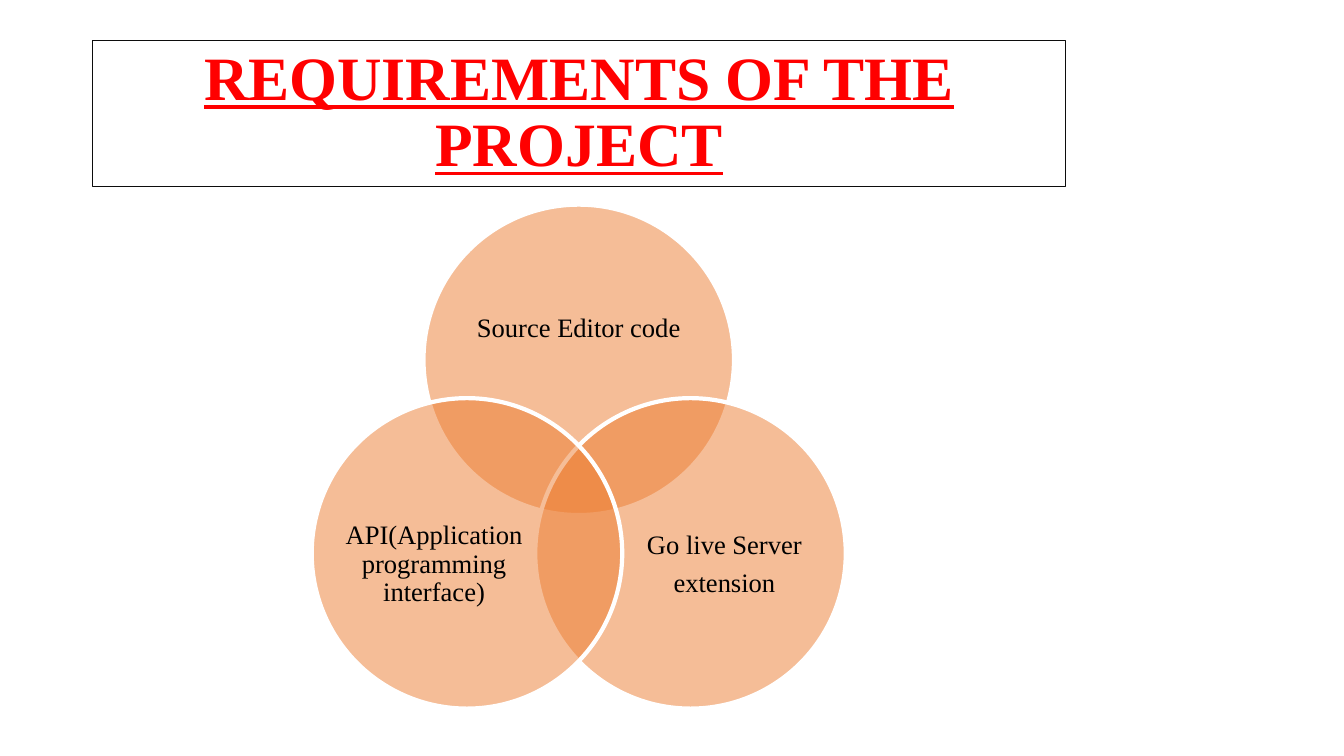
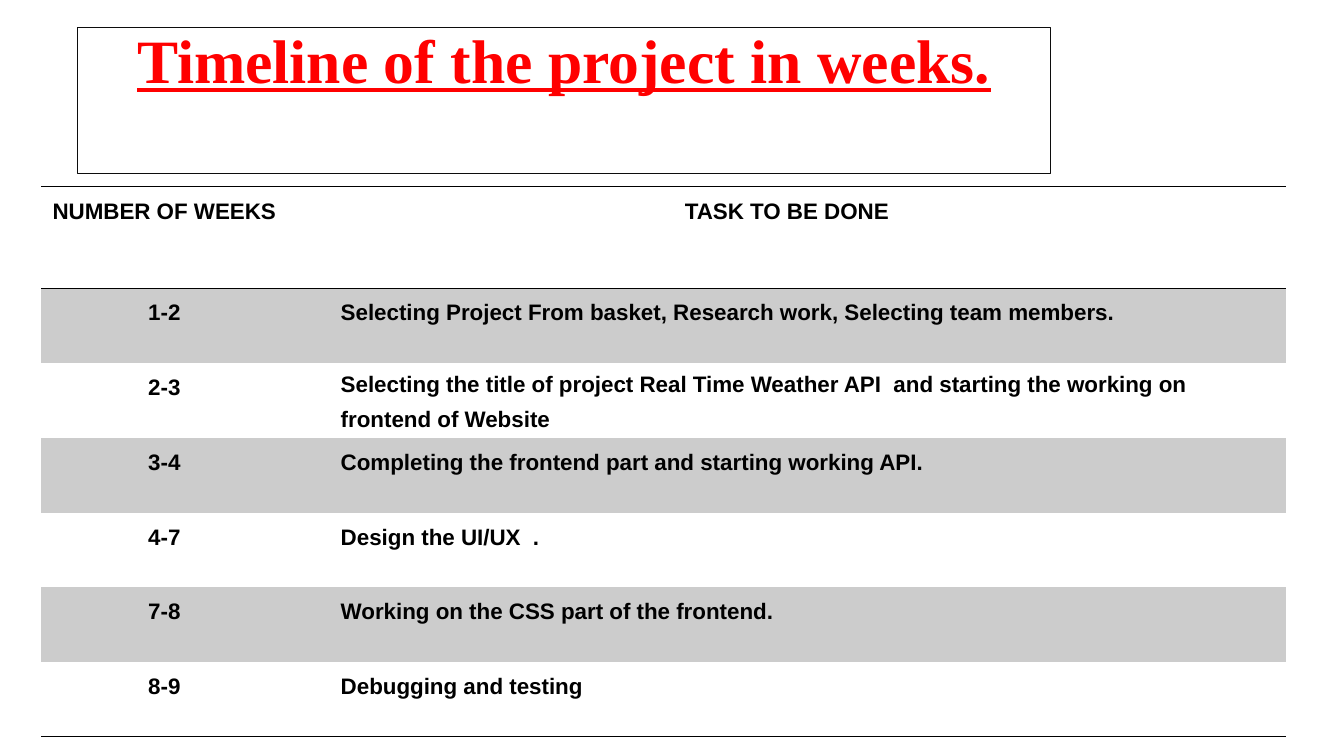
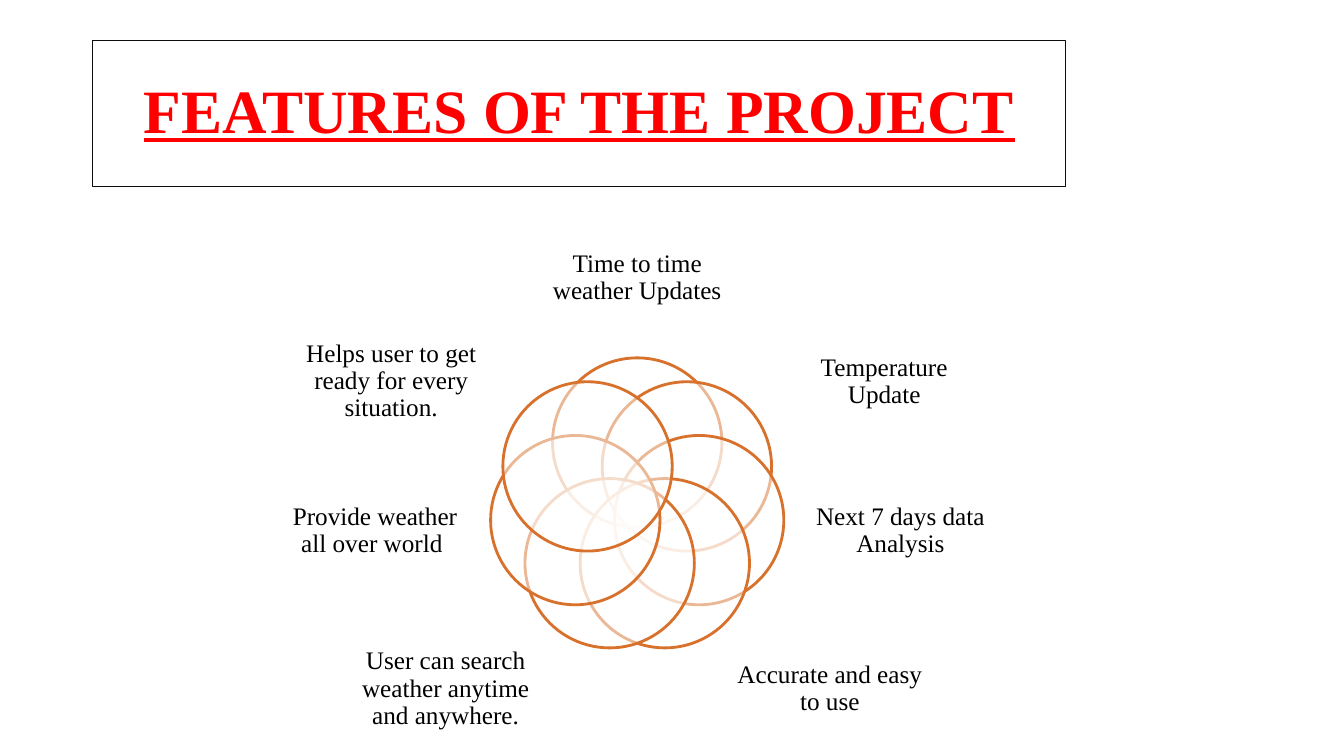
import math

import pptx
import pptx.dml.color
import pptx.enum.shapes
import pptx.enum.text
import pptx.oxml.ns
import pptx.util
from lxml import etree

Inches, Pt = pptx.util.Inches, pptx.util.Pt
MSO_SHAPE = pptx.enum.shapes.MSO_SHAPE
PP_ALIGN = pptx.enum.text.PP_ALIGN
ANCHOR = pptx.enum.text.MSO_ANCHOR
qn = pptx.oxml.ns.qn

# Content
REQUIREMENTS = {
    "title": "REQUIREMENTS OF THE PROJECT",
    "centre": (5.74, 4.85), "ring": 1.28, "diameter": 3.08,
    "fill": "orange", "line": "white", "weight": 3, "size": 19,
    # label paragraphs, then left, top, width, height
    "labels": [
        (["Source Editor code"], (4.61, 2.57, 2.26, 1.39)),
        (["Go live Server", "extension"], (6.26, 4.75, 1.85, 1.7)),
        (["API(Application programming interface)"], (3.38, 4.75, 1.85, 1.7)),
    ],
}
FEATURES = {
    "title": "FEATURES OF THE PROJECT",
    "centre": (6.32, 5.02), "ring": 0.63, "diameter": 1.68,
    "fill": "white", "line": "rust", "weight": 2, "size": 18,
    "labels": [
        (["Time to time weather Updates"], (5.36, 2.24, 1.92, 1.03)),
        (["Temperature Update"], (7.86, 3.22, 1.82, 1.13)),
        (["Next 7 days data Analysis"], (8.04, 4.66, 1.78, 1.21)),
        (["Accurate and easy to use"], (7.27, 6.28, 1.92, 1.11)),
        (["User can search weather anytime and anywhere."], (3.46, 6.28, 1.92, 1.11)),
        (["Provide weather all over world "], (2.83, 4.66, 1.78, 1.21)),
        (["Helps user to get ready for every situation."], (2.97, 3.22, 1.82, 1.13)),
    ],
}
TIMELINE_TITLE = "Timeline of the project in weeks."
TIMELINE = [
    ("NUMBER OF WEEKS", "TASK TO BE DONE"),
    ("1-2", "Selecting Project From basket, Research work, Selecting team members."),
    ("2-3", "Selecting the title of project Real Time Weather API  and starting "
            "the working on frontend of Website"),
    ("3-4", "Completing the frontend part and starting working API."),
    ("4-7", "Design the UI/UX  ."),
    ("7-8", "Working on the CSS part of the frontend."),
    ("8-9", "Debugging and testing"),
]

# Shared style
COLORS = {"red": "FF0000", "frame": "0C0C0C", "black": "000000", "white": "FFFFFF",
          "orange": "ED7D31", "rust": "D7712C", "band": "CCCCCC"}
SERIF, SANS = "Times New Roman", "Arial"
TITLE_W, TITLE_H = 9.65, 1.45
COL_WIDTHS = (2.44, 9.91)
HEADER_H, ROW_H = 1.01, 0.74
ONE_LINE_CHARS = 80


def rgb(name):
    return pptx.dml.color.RGBColor.from_string(COLORS[name])


def box(left, top, width, height):
    return [Inches(v) for v in (left, top, width, height)]


def add_run(p, text, font, size, color="black", bold=False, underline=False):
    r = p.add_run()
    r.text = text
    r.font.name, r.font.size = font, Pt(size)
    r.font.bold, r.font.underline = bold, underline
    r.font.color.rgb = rgb(color)


def set_margins(target, side, top, bottom):
    target.margin_left = target.margin_right = Inches(side)
    target.margin_top, target.margin_bottom = Inches(top), Inches(bottom)


def add_title(s, text, left=0.92, top=0.4, anchor=ANCHOR.MIDDLE, inset=0.05):
    sp = s.shapes.add_shape(MSO_SHAPE.RECTANGLE, *box(left, top, TITLE_W, TITLE_H))
    sp.shadow.inherit = False
    sp.fill.background()
    sp.line.color.rgb = rgb("frame")
    sp.line.width = Pt(0.75)
    tf = sp.text_frame
    tf.word_wrap = True
    tf.vertical_anchor = anchor
    set_margins(tf, 0.1, inset, 0.05)
    p = tf.paragraphs[0]
    p.alignment, p.line_spacing = PP_ALIGN.CENTER, 0.9
    add_run(p, text, SERIF, 44, "red", bold=True, underline=True)


def add_circle(s, cx, cy, d, venn):
    sp = s.shapes.add_shape(MSO_SHAPE.OVAL, *box(cx - d / 2, cy - d / 2, d, d))
    sp.shadow.inherit = False
    sp.fill.solid()
    sp.fill.fore_color.rgb = rgb(venn["fill"])
    # Half-transparent fill
    clr = sp.element.spPr.find(qn("a:solidFill"))[0]
    etree.SubElement(clr, qn("a:alpha"), val="50000")
    sp.line.color.rgb = rgb(venn["line"])
    sp.line.width = Pt(venn["weight"])


def add_label(s, paragraphs, place, size):
    tf = s.shapes.add_textbox(*box(*place)).text_frame
    tf.word_wrap = True
    tf.vertical_anchor = ANCHOR.MIDDLE
    set_margins(tf, 0, 0, 0)
    for i, text in enumerate(paragraphs):
        p = tf.add_paragraph() if i else tf.paragraphs[0]
        p.alignment, p.line_spacing = PP_ALIGN.CENTER, 0.9
        p.space_after = Pt(round(size * 0.35, 2))
        add_run(p, text, SERIF, size)


def add_venn(s, venn):
    """Circles spaced evenly clockwise from the top, each with its label."""
    add_title(s, venn["title"])
    cx, cy = venn["centre"]
    for i, (paragraphs, place) in enumerate(venn["labels"]):
        a = 2 * math.pi * i / len(venn["labels"])
        add_circle(s, cx + venn["ring"] * math.sin(a),
                   cy - venn["ring"] * math.cos(a), venn["diameter"], venn)
        add_label(s, paragraphs, place, venn["size"])


def add_border(cell, side):
    tcPr = cell._tc.get_or_add_tcPr()
    ln = etree.SubElement(tcPr, qn("a:ln" + side), w=str(Pt(1)))
    fill = etree.SubElement(ln, qn("a:solidFill"))
    etree.SubElement(fill, qn("a:srgbClr"), val=COLORS["black"])


def add_timeline(s):
    add_title(s, TIMELINE_TITLE, 0.77, 0.27, ANCHOR.TOP, 0.03)
    last = len(TIMELINE) - 1
    frame = s.shapes.add_table(len(TIMELINE), 2, *box(
        0.41, 1.85, sum(COL_WIDTHS), HEADER_H + last * ROW_H))
    # Plain style: no grid, no banding
    style = frame.element.find(".//" + qn("a:tableStyleId"))
    style.text = "{2D5ABB26-0587-4C30-8999-92F81FD0307C}"
    table = frame.table
    table.first_row = table.horz_banding = False
    for col, width in zip(table.columns, COL_WIDTHS):
        col.width = Inches(width)
    for i, texts in enumerate(TIMELINE):
        table.rows[i].height = Inches(ROW_H if i else HEADER_H)
        for j, text in enumerate(texts):
            cell = table.cell(i, j)
            set_margins(cell, 0.03, 0, 0)
            if i == 0:
                add_border(cell, "T")
            if i in (0, last):
                add_border(cell, "B")
            if i % 2:
                cell.fill.solid()
                cell.fill.fore_color.rgb = rgb("band")
            else:
                cell.fill.background()
            p = cell.text_frame.paragraphs[0]
            # Two-line text is set tighter, so that all rows stay equal
            p.line_spacing = 1.4 if len(text) > ONE_LINE_CHARS else 1.5
            if i and j:
                p.alignment = PP_ALIGN.LEFT
                pPr = p._p.get_or_add_pPr()
                pPr.set("marL", str(Inches(0.5)))
                pPr.set("indent", "0")
            else:
                p.alignment = PP_ALIGN.CENTER
            add_run(p, text, SANS, 16, bold=True)


def main():
    prs = pptx.Presentation()
    prs.slide_width, prs.slide_height = Inches(13.33), Inches(7.5)
    slides = [prs.slides.add_slide(prs.slide_layouts[6]) for _ in range(3)]
    add_venn(slides[0], REQUIREMENTS)
    add_timeline(slides[1])
    add_venn(slides[2], FEATURES)
    prs.save("out.pptx")


if __name__ == "__main__":
    main()
